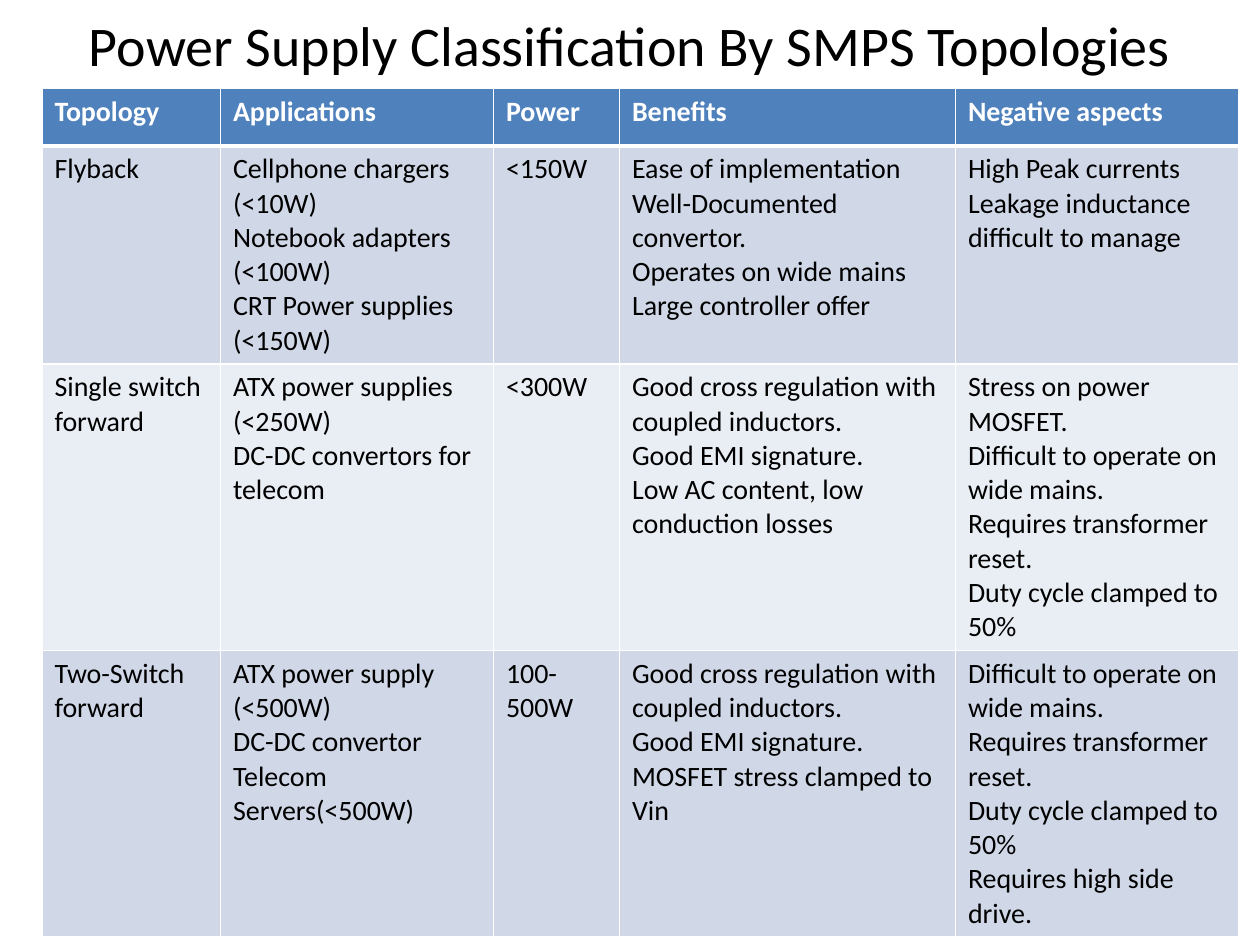
"""Build a slide with a table that compares SMPS topologies."""
from lxml.etree import SubElement
from pptx import Presentation
from pptx.dml.color import RGBColor
from pptx.enum.text import MSO_ANCHOR, PP_ALIGN
from pptx.oxml.ns import qn
from pptx.util import Pt

WHITE = RGBColor(0xFF, 0xFF, 0xFF)
BLACK = RGBColor(0x00, 0x00, 0x00)
BLUE = RGBColor(0x4F, 0x81, 0xBD)
BANDS = [RGBColor(0xE9, 0xED, 0xF4), RGBColor(0xD0, 0xD8, 0xE8)]
FONT = "Calibri"
WIDTHS = [102, 156, 72, 192, 162]
ROWS = [
    [["Topology"], ["Applications"], ["Power"], ["Benefits"], ["Negative aspects"]],
    [
        ["Flyback"],
        ["Cellphone chargers (<10W)", "Notebook adapters (<100W)",
         "CRT Power supplies (<150W)"],
        ["<150W"],
        ["Ease of implementation", "Well-Documented convertor.",
         "Operates on wide mains", "Large controller offer"],
        ["High Peak currents", "Leakage inductance difficult to manage"],
    ],
    [
        ["Single switch forward"],
        ["ATX power supplies (<250W)", "DC-DC convertors for telecom"],
        ["<300W"],
        ["Good cross regulation with coupled inductors.", "Good EMI signature.",
         "Low AC content, low conduction losses"],
        ["Stress on power MOSFET.", "Difficult to operate on wide mains.",
         "Requires transformer reset.", "Duty cycle clamped to 50%"],
    ],
    [
        ["Two-Switch forward"],
        ["ATX power supply (<500W)", "DC-DC convertor Telecom Servers(<500W)"],
        ["100-500W"],
        ["Good cross regulation with coupled inductors.", "Good EMI signature.",
         "MOSFET stress clamped to Vin"],
        ["Difficult to operate on wide mains.", "Requires transformer reset.",
         "Duty cycle clamped to 50%", "Requires high side drive."],
    ],
]


def write(para, text, size, color, bold=False):
    run = para.add_run()
    run.text = text
    run.font.name = FONT
    run.font.size = Pt(size)
    run.font.bold = bold
    run.font.color.rgb = color


def border(cell, side, width):
    line = SubElement(cell._tc.get_or_add_tcPr(), qn(f"a:ln{side}"), w=str(Pt(width)))
    fill = SubElement(line, qn("a:solidFill"))
    SubElement(fill, qn("a:srgbClr"), val=str(WHITE))


deck = Presentation()
deck.slide_width, deck.slide_height = Pt(720), Pt(540)
slide = deck.slides.add_slide(deck.slide_layouts[5])

title = slide.shapes.title
title.left, title.top, title.width, title.height = Pt(36), Pt(0), Pt(648), Pt(50.4)
title.text_frame.vertical_anchor = MSO_ANCHOR.MIDDLE
head = title.text_frame.paragraphs[0]
head.alignment = PP_ALIGN.CENTER
write(head, "Power Supply Classification By SMPS Topologies", 32, BLACK)

frame = slide.shapes.add_table(
    len(ROWS), len(WIDTHS), Pt(24), Pt(50.4), Pt(sum(WIDTHS)), Pt(477))
table = frame.table
for col, width in zip(table.columns, WIDTHS):
    col.width = Pt(width)

for r, row in enumerate(ROWS):
    table.rows[r].height = Pt(33)
    for c, lines in enumerate(row):
        cell = table.cell(r, c)
        for side in "LRTB":
            thick = (r, side) in [(0, "B"), (1, "T")]
            border(cell, side, 3 if thick else 1)
        cell.fill.solid()
        cell.fill.fore_color.rgb = BANDS[r % 2] if r else BLUE
        for n, text in enumerate(lines):
            para = cell.text_frame.add_paragraph() if n else cell.text_frame.paragraphs[0]
            write(para, text, 16, BLACK if r else WHITE, r == 0)
frame.height = Pt(477)

deck.save("out.pptx")
